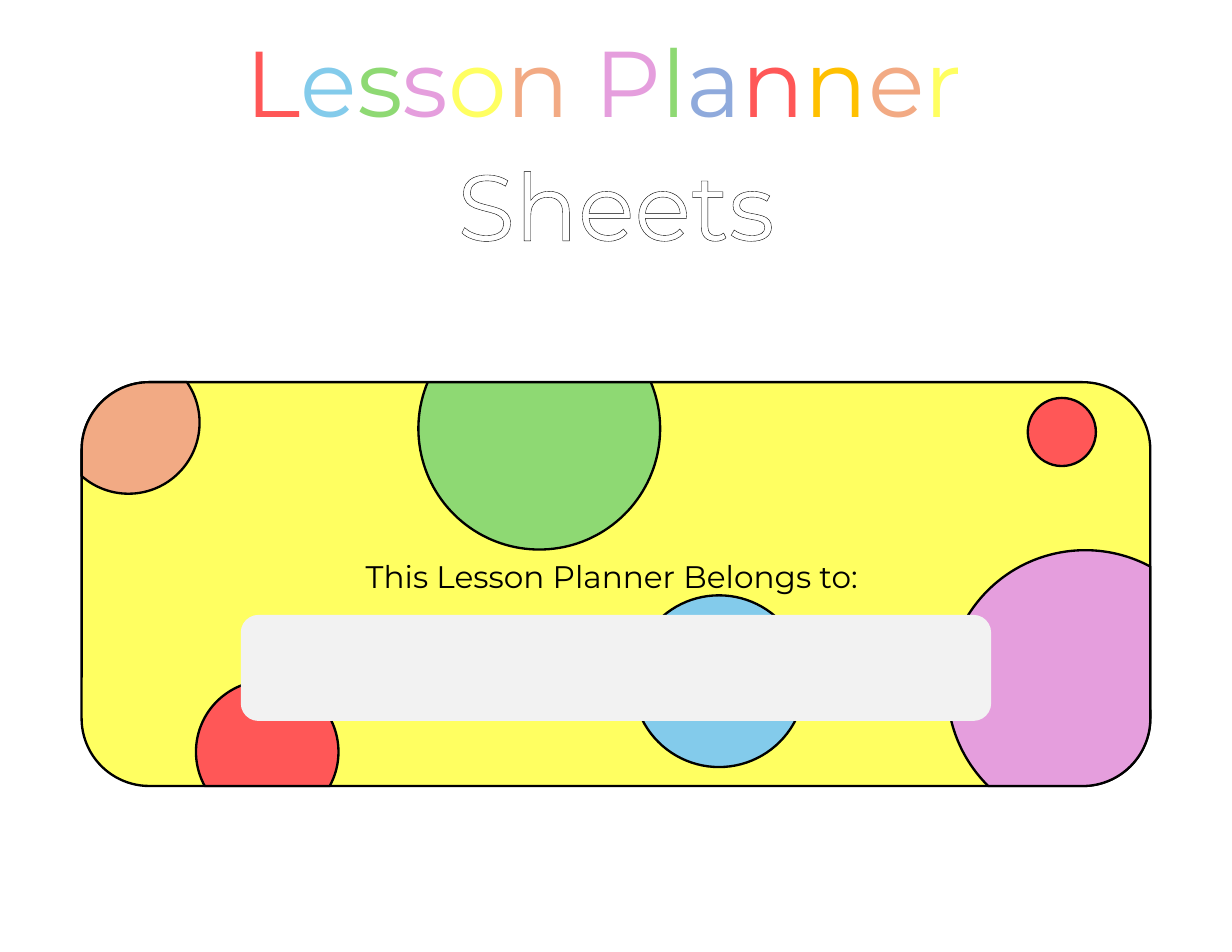
import math
from lxml import etree
from pptx import Presentation
from pptx.dml.color import RGBColor
from pptx.enum import shapes, text
from pptx.oxml import ns
from pptx.util import Pt

FONT = "Montserrat"
BLACK, WHITE, GREY = "000000", "FFFFFF", "F2F2F2"
RED, BLUE, GREEN, PINK = "FF5757", "83CBEB", "8ED973", "E59EDD"
YELLOW, ORANGE, INDIGO, GOLD = "FFFF61", "F2AA84", "8FAADC", "FFC000"
TITLE = [("L", RED), ("e", BLUE), ("s", GREEN), ("s", PINK), ("o", YELLOW),
         ("n ", ORANGE), ("P", PINK), ("l", GREEN), ("a", INDIGO),
         ("n", RED), ("n", GOLD), ("e", ORANGE), ("r ", YELLOW)]
CORNER = 43.5
CUT_DOTS = [(30.1, 26, 45.7, -34.7, 131.2, ORANGE, 180),
            (294.2, 29.9, 77.7, -22.6, 202.6, GREEN, None),
            (645.1, 196.6, 88.6, 134.7, 298.2, PINK, 0),
            (119.3, 237.6, 45.8, 151.3, 388.7, RED, None)]
WHOLE_DOTS = [(630.1, 32, 21.9, RED), (409.7, 192.2, 55.2, BLUE)]


def rgb(value):
    """Turn a hex string into a colour."""
    return RGBColor.from_string(value)


def paint(sp, fill=None, line=None):
    """Give a shape a flat fill and an outline, or none."""
    sp.shadow.inherit = False
    if fill:
        sp.fill.solid()
        sp.fill.fore_color.rgb = rgb(fill)
    else:
        sp.fill.background()
    if line:
        sp.line.color.rgb = rgb(line)
        sp.line.width = Pt(1.5)
    else:
        sp.line.fill.background()


def add_preset(s, kind, box, fill=None, line=None):
    """Add a painted preset shape."""
    sp = s.shapes.add_shape(kind, *map(Pt, box))
    paint(sp, fill, line)
    return sp


def outline_run(r, color, width):
    """Outline the letters of a run."""
    ln = etree.Element(ns.qn("a:ln"), w=str(Pt(width)))
    fill = etree.SubElement(ln, ns.qn("a:solidFill"))
    etree.SubElement(fill, ns.qn("a:srgbClr"), val=color)
    r.font._element.insert(0, ln)


def write(sp, runs, size, outline=None, grow=False, anchor=text.MSO_ANCHOR.TOP):
    """Fill a shape with a centred line of coloured runs."""
    tf = sp.text_frame
    tf.word_wrap = True
    tf.vertical_anchor = anchor
    if grow:
        tf.auto_size = text.MSO_AUTO_SIZE.SHAPE_TO_FIT_TEXT
    p = tf.paragraphs[0]
    p.alignment = text.PP_ALIGN.CENTER
    for words, color in runs:
        r = p.add_run()
        r.text = words
        r.font.size = Pt(size)
        r.font.name = FONT
        r.font.color.rgb = rgb(color)
        if outline:
            outline_run(r, outline, 2.25)


def arc(cx, cy, radius, start, end):
    """List the Bezier points of a clockwise arc, with angles in degrees."""
    count = math.ceil((end - start) / 90)
    step = math.radians((end - start) / count)
    pull = 4 / 3 * math.tan(step / 4)

    def spot(angle, bend):
        c, d = math.cos(angle), math.sin(angle)
        return cx + radius * (c - bend * d), cy + radius * (d + bend * c)

    points = [spot(math.radians(start), 0)]
    for i in range(count):
        a = math.radians(start) + i * step
        points += [spot(a, pull), spot(a + step, -pull), spot(a + step, 0)]
    return points


def add_curves(s, arcs, fill, line):
    """Add a closed outline of arcs joined by straight lines."""
    points = [(Pt(x), Pt(y)) for part in arcs for x, y in part]
    builder = s.shapes.build_freeform(*points[0])
    builder.add_line_segments(points[1:], close=True)
    sp = builder.convert_to_shape()
    nodes = list(next(sp._element.iter(ns.qn("a:path"))))
    at = 0
    for part in arcs:
        for i in range(at + 1, at + len(part), 3):
            curve = etree.Element(ns.qn("a:cubicBezTo"))
            nodes[i].addprevious(curve)
            for node in nodes[i:i + 3]:
                curve.append(node[0])
                node.getparent().remove(node)
        at += len(part)
    paint(sp, fill, line)


def add_heading(s, x, y, w, h):
    """Place the white band and the two title lines."""
    add_preset(s, shapes.MSO_SHAPE.RECTANGLE, (x - 5, y + 5, w, h - 0.8), WHITE)
    for i, runs in enumerate((TITLE, [("Sheets", WHITE)])):
        sp = s.shapes.add_textbox(*map(Pt, (x, y + i * (h - 1), w, h)))
        write(sp, runs, 60, BLACK, grow=True)


def add_name_panel(s, x, y, w, h):
    """Place the dotted panel with its label and name plate."""
    kinds = shapes.MSO_SHAPE
    panel = add_preset(s, kinds.ROUNDED_RECTANGLE, (x, y, w, h), YELLOW, BLACK)
    panel.adjustments[0] = CORNER / h
    centers = {0: (x + w - CORNER, y + h - CORNER), 180: (x + CORNER, y + CORNER)}
    for cx, cy, radius, start, end, color, turn in CUT_DOTS:
        arcs = [arc(x + cx, y + cy, radius, start, end)]
        if turn is not None:
            arcs.append(arc(*centers[turn], CORNER, turn, turn + 90))
        add_curves(s, arcs, color, BLACK)
    for cx, cy, radius, color in WHOLE_DOTS:
        box = (x + cx - radius, y + cy - radius, 2 * radius, 2 * radius)
        add_preset(s, kinds.OVAL, box, color, BLACK)
    plate_w, plate_h = 482.4, 68.2
    left = x + (w - plate_w) / 2
    label = add_preset(s, kinds.ROUNDED_RECTANGLE, (left, y + 90.7, plate_w, plate_h))
    write(label, [("This Lesson Planner Belongs to: ", BLACK)], 20,
          anchor=text.MSO_ANCHOR.MIDDLE)
    add_preset(s, kinds.ROUNDED_RECTANGLE, (left, y + 149.6, plate_w, plate_h), GREY)


def main():
    """Build the planner cover."""
    prs = Presentation()
    prs.slide_width, prs.slide_height = Pt(792), Pt(612)
    s = prs.slides.add_slide(prs.slide_layouts[6])
    add_preset(s, shapes.MSO_SHAPE.RECTANGLE, (0, 0, 792, 612), WHITE, WHITE)
    add_heading(s, 0, 12.3, 792, 80)
    add_name_panel(s, 52.5, 245.7, 687, 259.6)
    prs.save("out.pptx")


if __name__ == "__main__":
    main()
